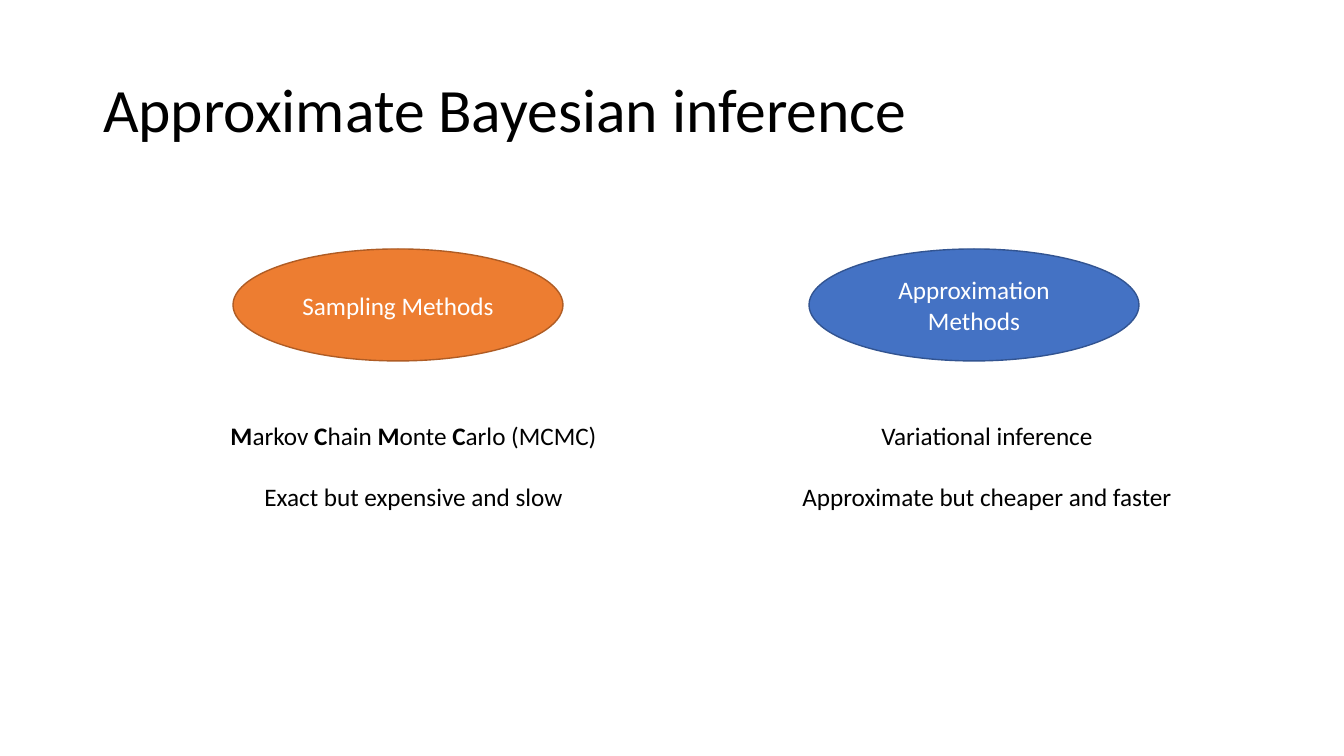
import pptx
import pptx.dml.color
import pptx.enum.shapes
import pptx.enum.text
import pptx.util

EMU_PER_PX = 914400 / 100.8


def px(length):
    return pptx.util.Emu(round(length * EMU_PER_PX))


def colour(code):
    return pptx.dml.color.RGBColor.from_string(code)


class SlideBuilder:
    font_name = "Calibri"
    body_size = 18
    title_size = 44
    dark = "000000"
    light = "FFFFFF"
    center = pptx.enum.text.PP_ALIGN.CENTER
    middle = pptx.enum.text.MSO_ANCHOR.MIDDLE

    def __init__(self, presentation):
        self.slide = presentation.slides.add_slide(presentation.slide_layouts[5])

    def add_run(self, paragraph, text, size, code, bold=False):
        run = paragraph.add_run()
        run.text = text
        run.font.name = self.font_name
        run.font.size = pptx.util.Pt(size)
        run.font.bold = bold
        run.font.color.rgb = colour(code)

    def title(self, text, left, top, width, height):
        heading = self.slide.shapes.title
        heading.left, heading.top = px(left), px(top)
        heading.width, heading.height = px(width), px(height)
        frame = heading.text_frame
        frame.word_wrap = True
        frame.vertical_anchor = self.middle
        paragraph = frame.paragraphs[0]
        paragraph.alignment = pptx.enum.text.PP_ALIGN.LEFT
        paragraph.line_spacing = 0.9
        self.add_run(paragraph, text, self.title_size, self.dark)

    def ellipse(self, text, left, top, width, height, fill, outline):
        method = self.slide.shapes.add_shape(
            pptx.enum.shapes.MSO_SHAPE.OVAL, px(left), px(top), px(width), px(height))
        method.shadow.inherit = False
        method.fill.solid()
        method.fill.fore_color.rgb = colour(fill)
        method.line.color.rgb = colour(outline)
        method.line.width = pptx.util.Pt(1)
        frame = method.text_frame
        frame.word_wrap = True
        frame.vertical_anchor = self.middle
        paragraph = frame.paragraphs[0]
        paragraph.alignment = self.center
        self.add_run(paragraph, text, self.body_size, self.light)

    def text(self, lines, left, top, width, height, gap):
        description = self.slide.shapes.add_textbox(px(left), px(top), px(width), px(height))
        frame = description.text_frame
        frame.word_wrap = True
        for index, pieces in enumerate(lines):
            paragraph = frame.add_paragraph() if index else frame.paragraphs[0]
            paragraph.alignment = self.center
            if index:
                paragraph.space_before = pptx.util.Pt(gap)
            for piece, bold in pieces:
                self.add_run(paragraph, piece, self.body_size, self.dark, bold)


def main():
    presentation = pptx.Presentation()
    presentation.slide_width = px(1344)
    presentation.slide_height = px(756)
    builder = SlideBuilder(presentation)
    builder.title("Approximate Bayesian inference", 93, 40, 1159, 146)

    mcmc = [("M", True), ("arkov ", False), ("C", True), ("hain ", False),
            ("M", True), ("onte ", False), ("C", True), ("arlo (MCMC)", False)]
    families = [
        ("Sampling Methods", 233, "ED7D31", "AF5C24", 211, 405,
         [mcmc, [("Exact but expensive and slow", False)]]),
        ("Approximation Methods", 809, "4472C4", "325491", 760, 454,
         [[("Variational inference", False)],
          [("Approximate but cheaper and faster", False)]]),
    ]
    for name, left, fill, outline, text_left, text_width, lines in families:
        builder.ellipse(name, left, 249, 330, 112, fill, outline)
        builder.text(lines, text_left, 415, text_width, 102, gap=22)

    presentation.save("out.pptx")


if __name__ == "__main__":
    main()
